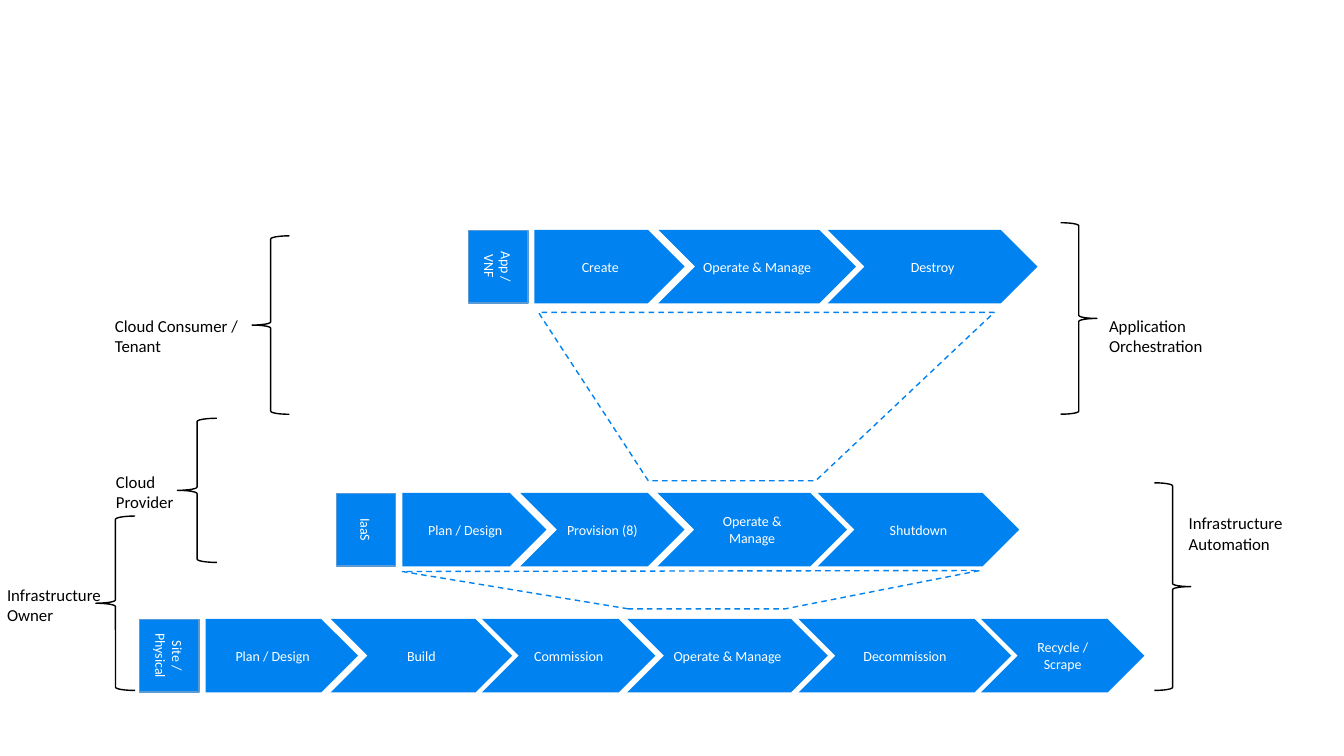
from dataclasses import dataclass

from pptx import Presentation
from pptx.dml.color import RGBColor
from pptx.enum.dml import MSO_LINE
from pptx.enum.shapes import MSO_SHAPE
from pptx.enum.text import MSO_ANCHOR, PP_ALIGN
from pptx.util import Inches, Pt


@dataclass(frozen=True)
class Theme:
    font: str = "Calibri"
    stage_size: Pt = Pt(10)
    label_size: Pt = Pt(12)
    line_width: Pt = Pt(1)
    blue: RGBColor = RGBColor(0x00, 0x82, 0xF0)
    tag_edge: RGBColor = RGBColor(0x5B, 0x9B, 0xD5)
    white: RGBColor = RGBColor(0xFF, 0xFF, 0xFF)
    black: RGBColor = RGBColor(0x00, 0x00, 0x00)


THEME = Theme()
COLS, ROWS = 13.33, 7.5
COL, ROW = Inches(13.33) / COLS, Inches(7.5) / ROWS
STAGE_H = 0.73
TAG_W, TAG_H, TAG_OFFSET = 0.72, 0.59, 0.36

# Row tag, top, and stages as (label, left, width)
LIFECYCLES = [
    ("Site / Physical", 6.14, [
        ("Plan / Design", 2.04, 1.51), ("Build", 3.28, 1.8),
        ("Commission", 4.78, 1.72), ("Operate & Manage", 6.22, 1.99),
        ("Decommission", 7.92, 2.11), ("Recycle / Scrape", 9.73, 1.62)]),
    ("IaaS", 4.89, [
        ("Plan / Design", 3.99, 1.43), ("Provision (8)", 5.16, 1.63),
        ("Operate & Manage", 6.52, 1.88), ("Shutdown", 8.11, 2)]),
    ("App / VNF", 2.28, [
        ("Create", 5.3, 1.49), ("Operate & Manage", 6.53, 1.96),
        ("Destroy", 8.21, 2.08)]),
]

# Corners: bottom left, top left, top right, bottom right
FUNNELS = [
    [(6.43, 4.77), (5.34, 3.1), (9.86, 3.1), (8.09, 4.77)],
    [(6.23, 6.04), (3.99, 5.67), (9.72, 5.66), (7.79, 6.04)],
]

# Brace shape and box, label lines and box
ROLES = [
    (MSO_SHAPE.LEFT_BRACE, (2.5, 2.34, 0.37, 1.77),
     ["Cloud Consumer /", "Tenant"], (1.06, 3.09, 2.03, 0.45)),
    (MSO_SHAPE.LEFT_BRACE, (1.76, 4.15, 0.39, 1.43),
     ["Cloud", "Provider"], (1.07, 4.64, 1.25, 0.3)),
    (MSO_SHAPE.LEFT_BRACE, (0.95, 5.12, 0.39, 1.73),
     ["Infrastructure", "Owner"], (-0.01, 5.76, 1.7, 0.38)),
    (MSO_SHAPE.RIGHT_BRACE, (11.45, 4.79, 0.36, 2.06),
     ["Infrastructure", "Automation"], (11.71, 5.05, 1.7, 0.38)),
    (MSO_SHAPE.RIGHT_BRACE, (10.52, 2.21, 0.36, 1.9),
     ["Application Orchestration"], (10.92, 3.09, 1.7, 0.38)),
]


def on_grid(left, top, width, height):
    return round(left * COL), round(top * ROW), round(width * COL), round(height * ROW)


def write(shape, lines, size, color, align):
    tf = shape.text_frame
    tf.margin_left = tf.margin_right = Inches(0.08)
    tf.margin_top = tf.margin_bottom = Inches(0.04)
    tf.text = "\n".join(lines)
    for p in tf.paragraphs:
        p.alignment = align
        for r in p.runs:
            r.font.name, r.font.size = THEME.font, size
            r.font.color.rgb = color


def add_block(s, kind, box, label):
    sp = s.shapes.add_shape(kind, *on_grid(*box))
    sp.shadow.inherit = False
    sp.fill.solid()
    sp.fill.fore_color.rgb = THEME.blue
    sp.line.fill.background()
    write(sp, [label], THEME.stage_size, THEME.white, PP_ALIGN.CENTER)
    sp.text_frame.word_wrap = True
    sp.text_frame.vertical_anchor = MSO_ANCHOR.MIDDLE
    return sp


def add_lifecycle(s, name, top, stages):
    """Add a rotated row tag followed by its chain of stages."""
    for i, (label, left, width) in enumerate(stages):
        kind = MSO_SHAPE.CHEVRON if i else MSO_SHAPE.PENTAGON
        add_block(s, kind, (left, top, width, STAGE_H), label)
    center = stages[0][1] - TAG_OFFSET
    tag = add_block(s, MSO_SHAPE.RECTANGLE,
                    (center - TAG_W / 2, top + (STAGE_H - TAG_H) / 2, TAG_W, TAG_H), name)
    tag.rotation = 90
    tag.line.color.rgb = THEME.tag_edge
    tag.line.width = THEME.line_width


def add_funnel(s, corners):
    start, *rest = [(round(x * COL), round(y * ROW)) for x, y in corners]
    builder = s.shapes.build_freeform(*start)
    builder.add_line_segments(rest, close=True)
    sp = builder.convert_to_shape()
    sp.shadow.inherit = False
    sp.fill.background()
    sp.line.color.rgb = THEME.blue
    sp.line.width = THEME.line_width
    sp.line.dash_style = MSO_LINE.DASH


def add_brace(s, kind, box):
    sp = s.shapes.add_shape(kind, *on_grid(*box))
    sp.shadow.inherit = False
    sp.fill.background()
    sp.line.color.rgb = THEME.black
    sp.line.width = THEME.line_width


def add_label(s, lines, box):
    sp = s.shapes.add_textbox(*on_grid(*box))
    write(sp, lines, THEME.label_size, THEME.black, PP_ALIGN.LEFT)
    sp.text_frame.word_wrap = False


def main():
    prs = Presentation()
    prs.slide_width, prs.slide_height = Inches(COLS), Inches(ROWS)
    s = prs.slides.add_slide(prs.slide_layouts[6])
    for corners in FUNNELS:
        add_funnel(s, corners)
    for name, top, stages in LIFECYCLES:
        add_lifecycle(s, name, top, stages)
    for kind, brace_box, lines, label_box in ROLES:
        add_brace(s, kind, brace_box)
        add_label(s, lines, label_box)
    prs.save("out.pptx")


if __name__ == "__main__":
    main()
